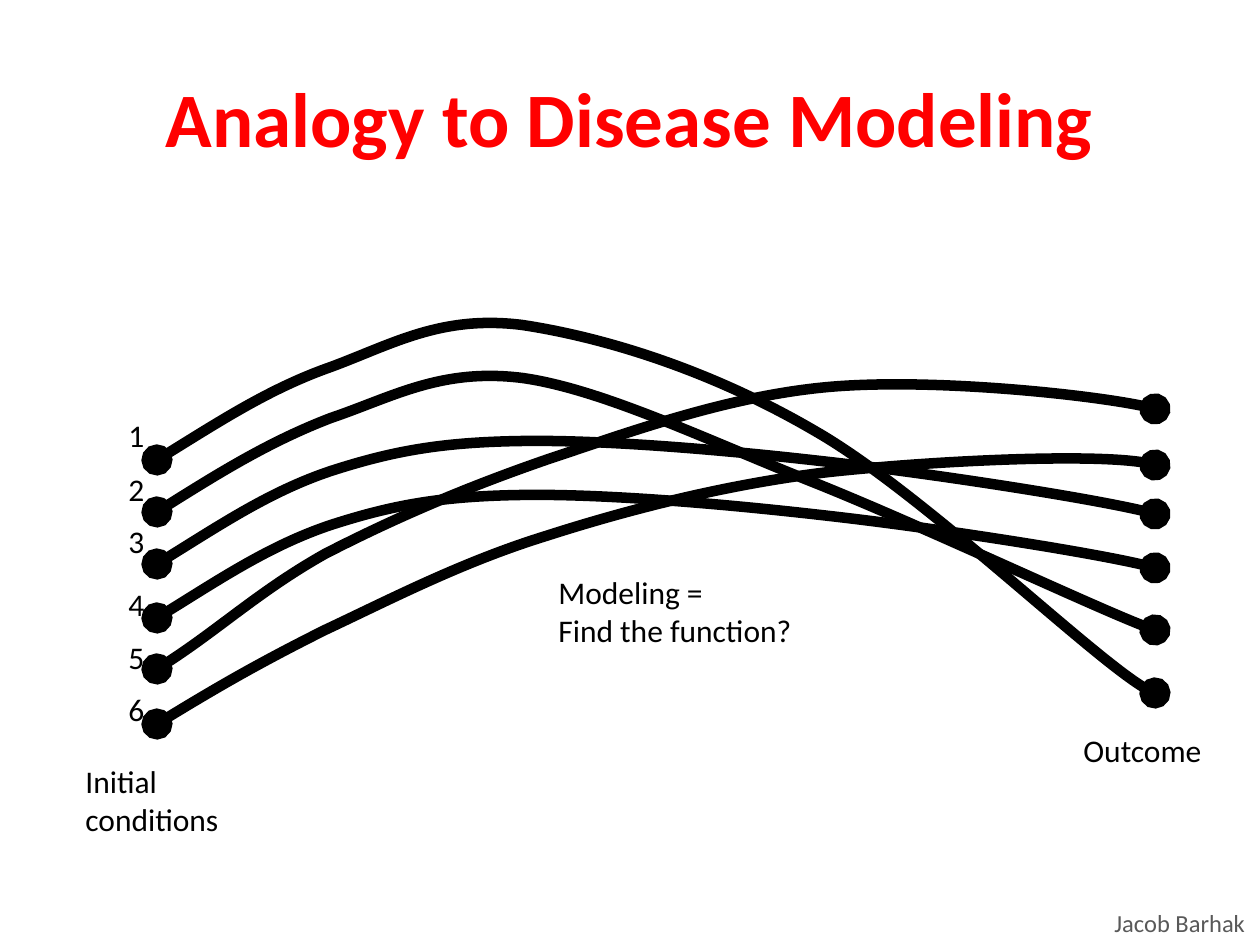
import dataclasses

import pptx
import pptx.dml.color
import pptx.enum.text
import pptx.oxml.ns
import pptx.util
from lxml import etree

EMU_PER_PX = 914400 / 126


@dataclasses.dataclass(frozen=True)
class Theme:
    font: str = "Calibri"
    title_color: str = "FF0000"
    ink: str = "000000"
    credit_color: str = "595959"
    title_size: int = 44
    label_size: int = 18
    credit_size: int = 14
    curve_width: int = 6


class SlideBuilder:
    """Draws styled elements on the current page, with lengths in px."""

    def __init__(self, page, theme):
        self.page = page
        self.theme = theme

    def px(self, length):
        return pptx.util.Emu(round(length * EMU_PER_PX))

    def place(self, shape, left, top, width, height):
        shape.left, shape.top = self.px(left), self.px(top)
        shape.width, shape.height = self.px(width), self.px(height)

    def span(self, para, text, size, color, bold=False):
        span = para.add_run()
        span.text = text
        span.font.name = self.theme.font
        span.font.size = pptx.util.Pt(size)
        span.font.bold = bold
        span.font.color.rgb = pptx.dml.color.RGBColor.from_string(color)

    def title(self, text, *bounds):
        title = self.page.shapes.title
        self.place(title, *bounds)
        title.text_frame.vertical_anchor = pptx.enum.text.MSO_ANCHOR.MIDDLE
        para = title.text_frame.paragraphs[0]
        para.alignment = pptx.enum.text.PP_ALIGN.CENTER
        self.span(para, text, self.theme.title_size, self.theme.title_color, bold=True)

    def label(self, lines, *bounds, size=None, color=None, wrap=True):
        box = self.page.shapes.add_textbox(*map(self.px, bounds))
        frame = box.text_frame
        frame.word_wrap = wrap
        frame.auto_size = pptx.enum.text.MSO_AUTO_SIZE.SHAPE_TO_FIT_TEXT
        for index, line in enumerate(lines):
            para = frame.add_paragraph() if index else frame.paragraphs[0]
            self.span(para, line, size or self.theme.label_size, color or self.theme.ink)

    def curve(self, xs, ys):
        start, *controls = zip(xs, ys)
        builder = self.page.shapes.build_freeform(*start, scale=EMU_PER_PX)
        builder.add_line_segments(controls, close=False)
        shape = builder.convert_to_shape()
        shape.shadow.inherit = False
        shape.fill.background()
        shape.line.width = pptx.util.Pt(self.theme.curve_width)
        shape.line.color.rgb = pptx.dml.color.RGBColor.from_string(self.theme.ink)
        qn = pptx.oxml.ns.qn
        segments = list(shape.element.iter(qn("a:lnTo")))
        for first in range(0, len(segments), 3):
            outline = segments[first].getparent()
            bezier = etree.SubElement(outline, qn("a:cubicBezTo"))
            for segment in segments[first:first + 3]:
                bezier.append(segment[0])
                outline.remove(segment)
        line = shape.element.spPr.find(qn("a:ln"))
        for end in ("a:headEnd", "a:tailEnd"):
            etree.SubElement(line, qn(end), type="oval")


def main():
    deck = pptx.Presentation()
    deck.slide_width = pptx.util.Inches(10)
    deck.slide_height = pptx.util.Inches(7.5)
    theme = Theme()
    slide = SlideBuilder(deck.slides.add_slide(deck.slide_layouts[5]), theme)

    slide.label(["Jacob Barhak"], 1102, 902, 158, 43,
                size=theme.credit_size, color=theme.credit_color, wrap=False)
    slide.title("Analogy to Disease Modeling", 63, 38, 1134, 158)

    peaked = (157, 214, 271, 331, 393, 441, 522, 602, 709, 815, 920, 1115, 1155)
    flat = (157, 214, 271, 331, 393, 442, 525, 607, 725, 829, 935, 1115, 1155)
    rising = (157, 214, 261, 325, 391, 462, 546, 630, 728, 829, 931, 1115, 1155)
    flat_ys = (564, 529, 491, 471, 451, 442, 441, 440, 450, 462, 474, 502, 514)
    curves = (
        (peaked, (512, 476, 441, 418, 397, 368, 378, 389, 441, 483, 525, 617, 630)),
        (flat, flat_ys),
        (flat, [y + 54 for y in flat_ys]),
        (rising, (669, 634, 590, 554, 520, 489, 460, 432, 396, 387, 378, 397, 409)),
        (rising, (724, 689, 662, 630, 599, 562, 536, 509, 484, 472, 461, 452, 465)),
        (peaked, (460, 425, 388, 367, 344, 315, 325, 337, 369, 431, 491, 680, 693)),
    )
    for xs, ys in curves:
        slide.curve(xs, ys)

    for number, top in enumerate((410, 464, 516, 579, 632, 684), start=1):
        slide.label([str(number)], 116, top, 41, 51, wrap=False)
    slide.label(["Initial conditions"], 73, 756, 168, 89)
    slide.label(["Outcome"], 1071, 725, 168, 51)
    slide.label(["Modeling =", "Find the function?"], 546, 567, 347, 89)

    deck.save("out.pptx")


if __name__ == "__main__":
    main()
